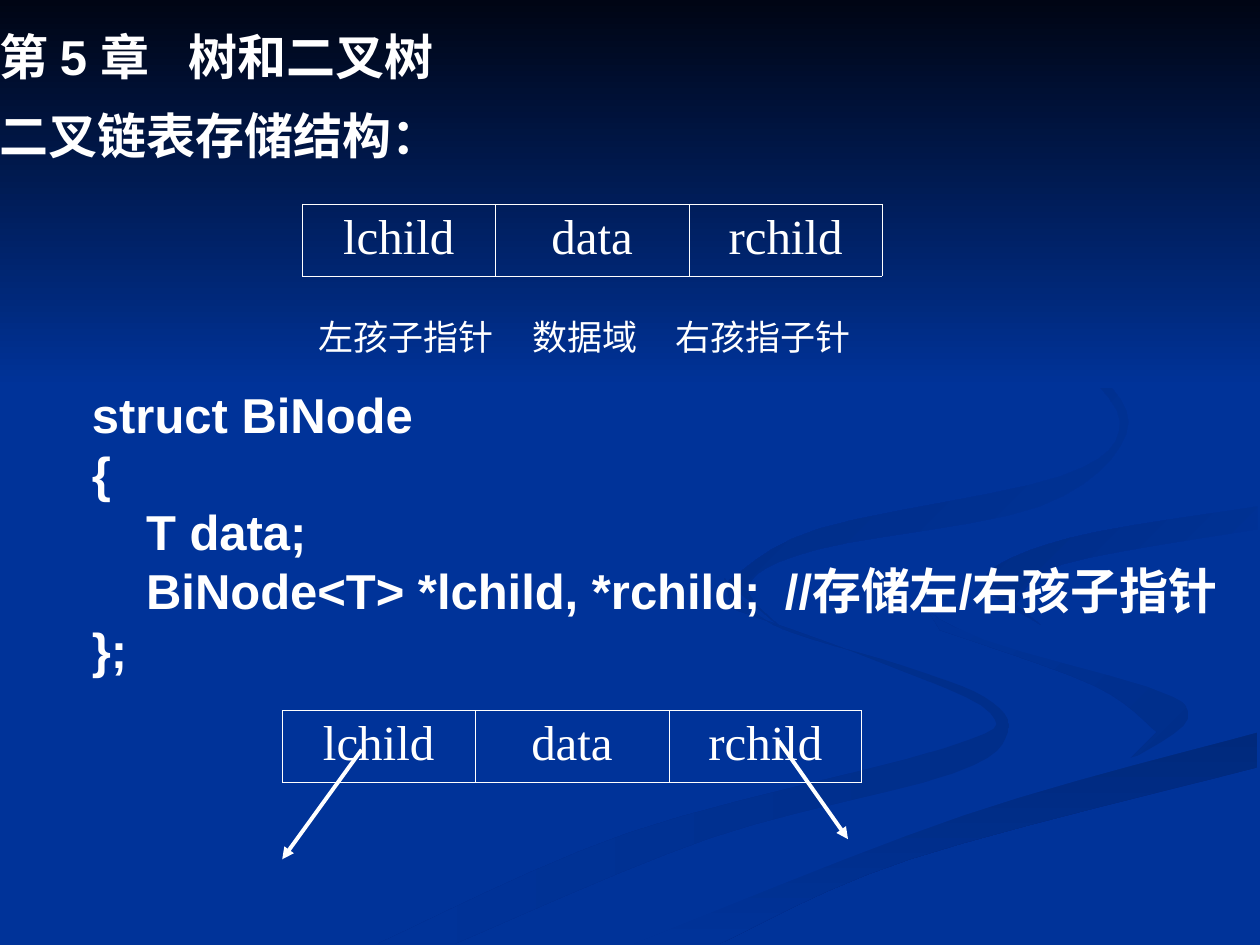
"""Build the slide on linked storage of binary trees."""
from dataclasses import dataclass
from typing import Optional

from lxml.etree import SubElement
from pptx import Presentation
from pptx.dml.color import RGBColor as Rgb
from pptx.enum.shapes import MSO_CONNECTOR as Connector
from pptx.enum.text import MSO_AUTO_SIZE as AutoSize, PP_ALIGN as Align
from pptx.oxml.ns import qn
from pptx.util import Inches, Pt


@dataclass(frozen=True)
class Theme:
    ground: str = "003399"
    night: str = "000514"
    ink: str = "FFFFFF"
    sans: str = "Arial"
    serif: str = "Times New Roman"
    body: float = 28
    label: float = 20
    grid: float = 0.45
    pointer: float = 2.25
    plain_table: str = "{2D5ABB26-0587-4C30-8999-92F81FD0307C}"


@dataclass(frozen=True)
class Ribbon:
    edges: tuple
    start: str
    end: str
    angle: Optional[float] = None


@dataclass(frozen=True)
class Line:
    text: str
    indent: float = 0
    tab: Optional[float] = None
    before: float = 0


@dataclass(frozen=True)
class TextBlock:
    box: tuple
    lines: tuple
    inset: tuple = (0, 0)


@dataclass(frozen=True)
class Strip:
    left: float
    top: float
    height: float
    columns: tuple
    words: tuple
    size: float
    before: float
    ruled: bool = True


THEME = Theme()
CURVE_STEPS = 6
NODE_COLUMNS = (1.53, 1.54, 1.53)
NODE_FIELDS = ("lchild", "data", "rchild")

RIBBONS = (
    Ribbon((((5.75, 4.59), (6.14, 4.96), (7.15, 5.28), (7.81, 5.53), (8, 5.81),
             (7.56, 6.14), (5.64, 6.65), (3.61, 7.49)),
            ((3, 7.49), (4.99, 6.61), (7.49, 5.94), (7.86, 5.66), (6.97, 5.25), (5.81, 4.83))),
           "002E8A", THEME.ground, 180),
    Ribbon((((7.24, 4.64), (7.58, 4.98), (9.05, 5.4), (9.43, 5.7), (8.94, 6.05)),
            ((9.18, 5.81), (8.68, 5.44), (7.46, 5))), "002E8A", THEME.ground, 135),
    Ribbon((((5.71, 7.49), (7.22, 6.82), (9.98, 6.09)),
            ((9.98, 5.81), (7.64, 6.47), (5.03, 7.49))), "00297C", THEME.ground, 270),
    Ribbon((((4.77, 7.49), (7.04, 6.55), (9.31, 5.9), (9.31, 5.53), (7.59, 4.98),
             (7.42, 4.39), (9.99, 3.87)),
            ((9.99, 4.02), (8.11, 4.37), (8.04, 4.85), (9.99, 5.38)),
            ((9.99, 5.81), (7.65, 6.47), (5.03, 7.49))), THEME.ground, THEME.ground),
    Ribbon((((8.26, 4.96), (7.81, 4.6), (8.49, 4.27), (9.98, 4.02)),
            ((9.98, 4.2), (8.43, 4.48), (8.06, 4.8))), THEME.ground, "002C85", 135),
    Ribbon((((7.62, 2.33), (8.64, 2.91), (8.94, 3.44), (8.25, 4.02), (6.49, 4.36),
             (5.94, 4.65), (6.22, 5)),
            ((5.77, 4.62), (6.49, 4.2), (8.42, 3.78), (8.89, 3.35), (8.46, 2.79))),
           THEME.ground, "002B81", 135),
    Ribbon((((10, 0), (10, 3.08)), ((0, 3.08), (0, 0))), THEME.night, THEME.ground, 270),
)

TEXT_BLOCKS = (
    TextBlock((0, 0.21, 10, 0.47), (Line("第 5 章\t树和二叉树", tab=1.64, before=17.5),)),
    TextBlock((0, 0.84, 10, 0.47), (Line("二叉链表存储结构："),)),
    TextBlock((0.71, 3.04, 9.29, 2.83),
              (Line("struct BiNode"), Line("{"), Line("T data;", indent=0.43),
               Line("BiNode<T> *lchild, *rchild;\t//存储左/右孩子指针", indent=0.43, tab=5.63),
               Line("};")), (0.02, 0.01)),
)

STRIPS = (
    Strip(2.4, 1.62, 0.57, NODE_COLUMNS, NODE_FIELDS, THEME.body, 7),
    Strip(2.4, 2.41, 0.43, (1.65, 1.18, 1.65), ("左孩子指针", "数据域", "右孩指子针"),
          THEME.label, 5, ruled=False),
    Strip(2.24, 5.64, 0.57, NODE_COLUMNS, NODE_FIELDS, THEME.body, 7),
)

POINTERS = ((2.87, 5.95, 2.24, 6.82), (6.18, 5.88, 6.73, 6.66))


def smooth(edge: tuple) -> list:
    """Return points along a Catmull-Rom curve through an edge."""
    padded = (edge[0], *edge, edge[-1])
    curve = []
    for a, b, c, d in zip(padded, padded[1:], padded[2:], padded[3:]):
        for step in range(CURVE_STEPS):
            t = step / CURVE_STEPS
            curve.append(tuple(
                q + t * (r - p + t * (2 * p - 5 * q + 4 * r - s + t * (3 * (q - r) + s - p))) / 2
                for p, q, r, s in zip(a, b, c, d)))
    return curve + [edge[-1]]


def add_span(para, text: str, face: str, size: float, bold: bool = False) -> None:
    """Add one run of white text."""
    span = para.add_run()
    span.text = text
    span.font.name, span.font.size, span.font.bold = face, Pt(size), bold
    span.font.color.rgb = Rgb.from_string(THEME.ink)


def draw_ribbon(page, ribbon: Ribbon) -> None:
    """Draw one background outline with a plain or graded fill."""
    points = [(Inches(x), Inches(y)) for edge in ribbon.edges for x, y in smooth(edge)]
    builder = page.shapes.build_freeform(*points[0])
    builder.add_line_segments(points[1:], close=True)
    shape = builder.convert_to_shape()
    shape.shadow.inherit = False
    shape.line.fill.background()
    if ribbon.angle is None:
        shape.fill.solid()
        shape.fill.fore_color.rgb = Rgb.from_string(ribbon.start)
        return
    shape.fill.gradient()
    shape.fill.gradient_angle = ribbon.angle
    for stop, colour in zip(shape.fill.gradient_stops, (ribbon.start, ribbon.end)):
        stop.color.rgb = Rgb.from_string(colour)


def draw_text(page, block: TextBlock) -> None:
    """Draw one block of bold lines with their indents and tab stops."""
    frame = page.shapes.add_textbox(*map(Inches, block.box)).text_frame
    frame.word_wrap, frame.auto_size = True, AutoSize.SHAPE_TO_FIT_TEXT
    frame.margin_left = frame.margin_right = Inches(block.inset[0])
    frame.margin_top = frame.margin_bottom = Inches(block.inset[1])
    for index, line in enumerate(block.lines):
        para = frame.add_paragraph() if index else frame.paragraphs[0]
        para.space_before = Pt(line.before)
        props = para._p.get_or_add_pPr()
        props.set("marL", "0")
        props.set("indent", str(Inches(line.indent)))
        if line.tab is not None:
            stops = SubElement(props, qn("a:tabLst"))
            SubElement(stops, qn("a:tab"), pos=str(Inches(line.tab)), algn="l")
        add_span(para, line.text, THEME.sans, THEME.body, bold=True)


def rule_cell(cell) -> None:
    """Give a cell thin white borders ahead of its fill."""
    props = cell._tc.get_or_add_tcPr()
    for index, side in enumerate(("lnL", "lnR", "lnT", "lnB")):
        border = SubElement(props, qn(f"a:{side}"), w=str(Pt(THEME.grid)))
        fill = SubElement(border, qn("a:solidFill"))
        SubElement(fill, qn("a:srgbClr"), val=THEME.ink)
        props.insert(index, border)


def draw_strip(page, strip: Strip) -> None:
    """Draw a one-row table of centred words."""
    box = (strip.left, strip.top, sum(strip.columns), strip.height)
    table = page.shapes.add_table(1, len(strip.words), *map(Inches, box)).table
    table.first_row = table.horz_banding = False
    table._tbl.tblPr.find(qn("a:tableStyleId")).text = THEME.plain_table
    for index, (width, word) in enumerate(zip(strip.columns, strip.words)):
        table.columns[index].width = Inches(width)
        cell = table.cell(0, index)
        cell.fill.background()
        if strip.ruled:
            rule_cell(cell)
        para = cell.text_frame.paragraphs[0]
        para.alignment, para.space_before = Align.CENTER, Pt(strip.before)
        add_span(para, word, THEME.serif, strip.size)


def draw_pointer(page, ends: tuple) -> None:
    """Draw one child pointer ending in a triangle."""
    arrow = page.shapes.add_connector(Connector.STRAIGHT, *map(Inches, ends))
    arrow.line.width = Pt(THEME.pointer)
    arrow.line.color.rgb = Rgb.from_string(THEME.ink)
    SubElement(arrow._element.spPr.find(qn("a:ln")), qn("a:tailEnd"), type="triangle")
    SubElement(arrow._element.spPr, qn("a:effectLst"))


def main() -> None:
    """Build and save the deck."""
    deck = Presentation()
    deck.slide_width, deck.slide_height = Inches(10), Inches(7.5)
    page = deck.slides.add_slide(deck.slide_layouts[6])
    page.background.fill.solid()
    page.background.fill.fore_color.rgb = Rgb.from_string(THEME.ground)
    for draw, items in ((draw_ribbon, RIBBONS), (draw_text, TEXT_BLOCKS),
                        (draw_strip, STRIPS), (draw_pointer, POINTERS)):
        for item in items:
            draw(page, item)
    deck.save("out.pptx")


if __name__ == "__main__":
    main()
